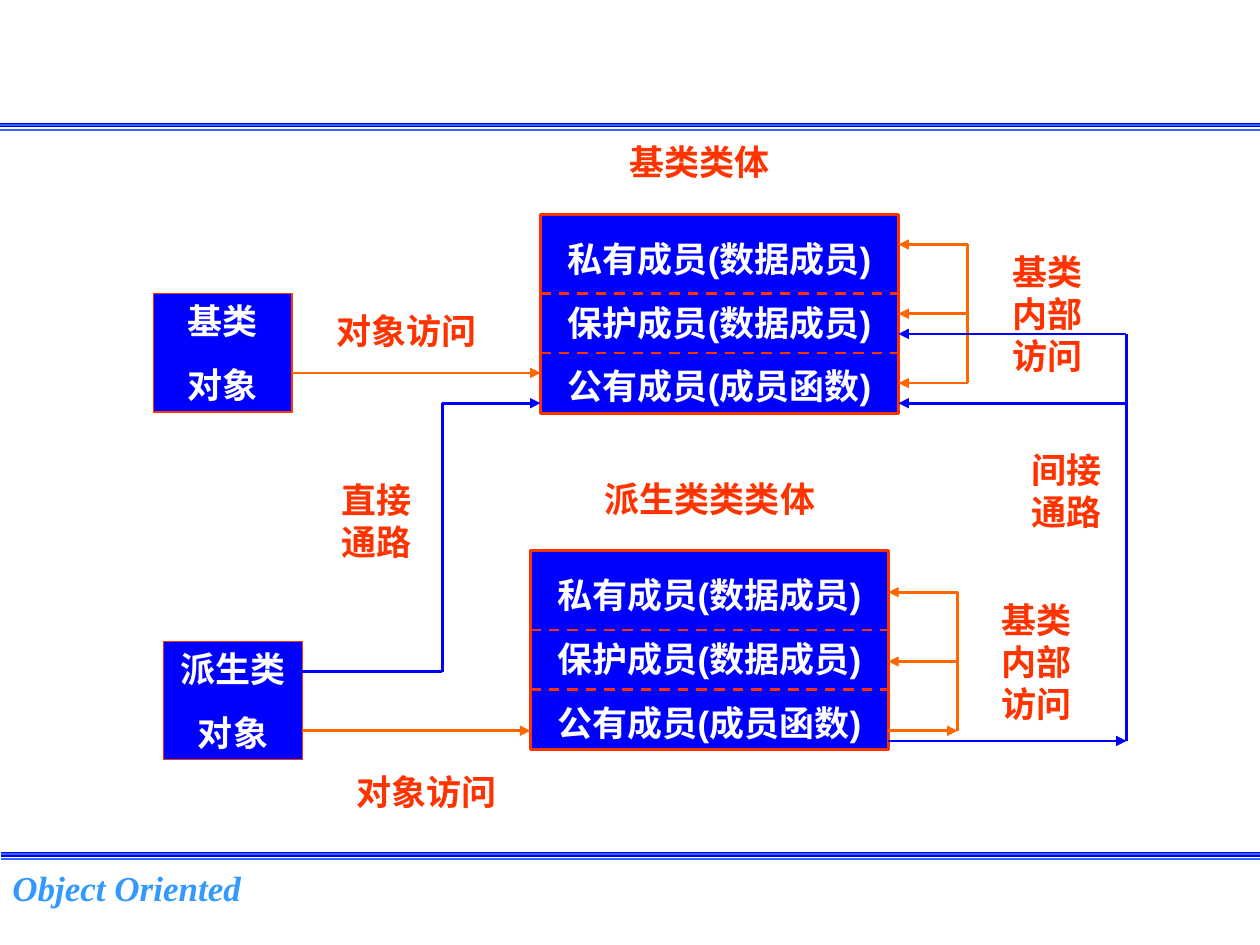
from dataclasses import dataclass

import pptx
import pptx.dml.color
import pptx.enum.dml
import pptx.enum.lang
import pptx.enum.shapes
import pptx.enum.text
import pptx.oxml.ns
import pptx.util
from lxml import etree

Pt = pptx.util.Pt
RGB = pptx.dml.color.RGBColor.from_string


@dataclass(frozen=True)
class Theme:
    blue: str = "0000FF"
    light_blue: str = "3366FF"
    footer_blue: str = "3399FF"
    red: str = "FF3300"
    orange: str = "FF6600"
    white: str = "FFFFFF"
    size: float = 20
    gap: float = 12.5
    font: str = "Arial"
    footer_font: str = "Times New Roman"


theme = Theme()

deck = pptx.Presentation()
deck.slide_width, deck.slide_height = Pt(720), Pt(540)
slide = deck.slides.add_slide(deck.slide_layouts[6])


def write(text, box, fill=None, border=0.75, color=theme.red, font=theme.font,
          italic=False, align=pptx.enum.text.PP_ALIGN.CENTER, first_spacing=None):
    """Write one paragraph per line of text, in a filled rectangle if fill is given."""
    left, top, width, height = map(Pt, box)
    if fill:
        holder = slide.shapes.add_shape(
            pptx.enum.shapes.MSO_SHAPE.RECTANGLE, left, top, width, height)
        holder.shadow.inherit = False
        holder.fill.solid()
        holder.fill.fore_color.rgb = RGB(fill)
        holder.line.color.rgb = RGB(theme.red)
        holder.line.width = Pt(border)
    else:
        holder = slide.shapes.add_textbox(left, top, width, height)
    frame = holder.text_frame
    frame.word_wrap = True
    frame.vertical_anchor = pptx.enum.text.MSO_ANCHOR.TOP
    frame.text = text
    for index, paragraph in enumerate(frame.paragraphs):
        paragraph.alignment = align
        if index:
            paragraph.space_before = Pt(theme.gap)
        elif first_spacing:
            paragraph.line_spacing = first_spacing
        for run in paragraph.runs:
            run.font.name = font
            run.font.size = Pt(theme.size)
            run.font.bold = True
            run.font.italic = italic
            run.font.color.rgb = RGB(color)
            run.font.language_id = pptx.enum.lang.MSO_LANGUAGE_ID.SIMPLIFIED_CHINESE


def connect(x1, y1, x2, y2, color, width=1.5, dashed=False, arrow=False):
    """Draw a straight line, with an arrowhead at its end if asked."""
    line = slide.shapes.add_connector(
        pptx.enum.shapes.MSO_CONNECTOR.STRAIGHT, Pt(x1), Pt(y1), Pt(x2), Pt(y2))
    line.line.color.rgb = RGB(color)
    line.line.width = Pt(width)
    if dashed:
        line.line.dash_style = pptx.enum.dml.MSO_LINE.DASH
    if arrow:
        etree.SubElement(line.line._get_or_add_ln(),
                         pptx.oxml.ns.qn("a:tailEnd"), type="triangle")
    etree.SubElement(line._element.spPr, pptx.oxml.ns.qn("a:effectLst"))


# Triple rules at the top and bottom of the page
for rule_x, rule_y in ((0, 71.3), (0.7, 488.2)):
    for offset, color, width in ((0, theme.blue, 2.5),
                                 (2.9, theme.light_blue, 1.25),
                                 (0, theme.light_blue, 1.25)):
        connect(rule_x, rule_y + offset, rule_x + 720, rule_y + offset, color, width)

# Footer
write("Object Oriented", (0, 491.8, 235.4, 37.4), color=theme.footer_blue,
      font=theme.footer_font, italic=True, align=pptx.enum.text.PP_ALIGN.LEFT)

# Derived class and base class, each with its object
members = "私有成员(数据成员)\n保护成员(数据成员)\n公有成员(成员函数)"
class_width, class_height = 204.5, 113.8
bracket_width, bracket_height = 39.6, 79.2
object_width, object_height = 79.2, 67.7
diagrams = (
    dict(title="派生类类类体", title_width=147.6, left=303.1, top=314.6,
         bracket_top=338.4, public_arrow_out=True, object_name="派生类\n对象",
         object_at=(93.6, 366.5), access_at=(184.3, 437), access_y=417.6),
    dict(title="基类类体", title_width=124.6, left=308.9, top=122.4,
         bracket_top=139.7, public_arrow_out=False, object_name="基类\n对象",
         object_at=(87.8, 167.8), access_at=(172.8, 173.5), access_y=213.1),
)
for part in diagrams:
    left, top = part["left"], part["top"]
    right = left + class_width

    # Class body with its three member sections
    write(members, (left, top, class_width, class_height), fill=theme.blue,
          border=1.5, color=theme.white, first_spacing=1.4)
    for divider in (45.4, 79.4):
        connect(left, top + divider, right, top + divider, theme.red, dashed=True)
    write(part["title"], (left + 28.8, top - 45.4, part["title_width"], 31.7))

    # Bracket for access from inside the class
    bracket_x, bracket_top = right + bracket_width, part["bracket_top"]
    bracket_bottom = bracket_top + bracket_height
    connect(bracket_x, bracket_top, bracket_x, bracket_bottom, theme.orange)
    for y in (bracket_top, bracket_top + bracket_height / 2):
        connect(bracket_x, y, right, y, theme.orange, arrow=True)
    start, end = bracket_x, right
    if part["public_arrow_out"]:
        start, end = end, start
    connect(start, bracket_bottom, end, bracket_bottom, theme.orange, arrow=True)
    write("基类内部访问", (right + 56.5, bracket_top, 56.9, bracket_height))

    # Object and its access to the public members
    write(part["object_name"], (*part["object_at"], object_width, object_height),
          fill=theme.blue, color=theme.white)
    write("对象访问", (*part["access_at"], 118.8, 31.7))
    connect(part["object_at"][0] + object_width, part["access_y"],
            left, part["access_y"], theme.orange, arrow=True)

# Direct path: derived object to the base class
direct_x, object_y, public_y = 252.7, 383.8, 230.4
connect(172.8, object_y, direct_x, object_y, theme.blue)
connect(direct_x, object_y, direct_x, public_y, theme.blue)
connect(direct_x, public_y, 308.9, public_y, theme.blue, arrow=True)
write("直接通路", (184.3, 270, 61.9, 55.4))

# Indirect path: derived class members to the base class
indirect_x, derived_y, protected_y = 643.7, 423.4, 190.8
connect(507.6, derived_y, indirect_x, derived_y, theme.blue, arrow=True)
connect(indirect_x, derived_y, indirect_x, protected_y, theme.blue)
for y in (protected_y, public_y):
    connect(indirect_x, y, 513.4, y, theme.blue, arrow=True)
write("间接通路", (581, 252.7, 56.9, 55.4))

deck.save("out.pptx")
